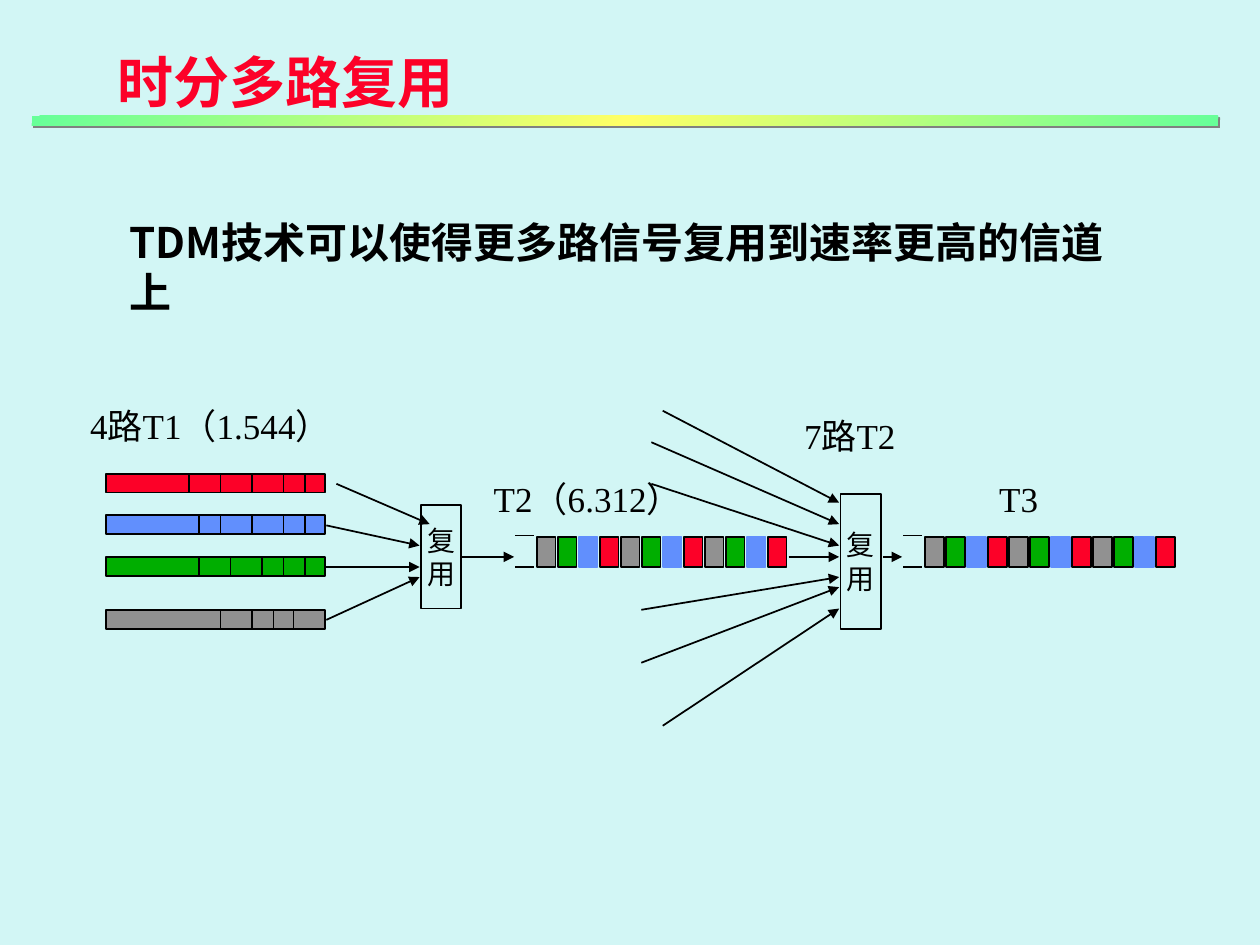
from lxml import etree
from pptx import Presentation
from pptx.dml.color import RGBColor
from pptx.enum.shapes import MSO_CONNECTOR, MSO_SHAPE
from pptx.enum.text import MSO_ANCHOR, MSO_AUTO_SIZE, PP_ALIGN
from pptx.oxml import parse_xml
from pptx.oxml.ns import nsdecls, qn
from pptx.util import Inches, Pt

RECTANGLE = MSO_SHAPE.RECTANGLE
STRAIGHT = MSO_CONNECTOR.STRAIGHT
LEFT, CENTER = PP_ALIGN.LEFT, PP_ALIGN.CENTER
TOP, MIDDLE = MSO_ANCHOR.TOP, MSO_ANCHOR.MIDDLE

SANS, SERIF = "Noto Sans CJK SC", "Times New Roman"
BACKGROUND = RGBColor(0xD2, 0xF6, 0xF5)
BLACK = RGBColor(0, 0, 0)
RED = RGBColor(0xFC, 0x01, 0x28)
BLUE = RGBColor(0x61, 0x8F, 0xFD)
GREEN = RGBColor(0x00, 0xAE, 0x00)
GRAY = RGBColor(0x91, 0x91, 0x91)

TITLE = "时分多路复用"
STATEMENT = "TDM技术可以使得更多路信号复用到速率更高的信道上"

LABELS = [  # text, left, top, width
    ("4路T1（1.544）", 0.67, 3.17, 2),
    ("T2（6.312）", 4.08, 3.75, 1.17),
    ("T3", 7.5, 3.75, 1.17),
    ("7路T2", 6.33, 3.25, 0.83),
]
LABEL_HEIGHT = 0.42

T1_LEFT, T1_WIDTH, T1_HEIGHT = 0.84, 1.74, 0.15
T1_SIGNALS = [  # top, colour, slot borders
    (3.76, RED, (1.5, 1.75, 2, 2.25, 2.42)),
    (4.09, BLUE, (1.58, 1.75, 2, 2.25, 2.42)),
    (4.42, GREEN, (1.58, 1.83, 2.08, 2.25, 2.42)),
    (4.84, GRAY, (1.75, 2, 2.17, 2.33)),
]

MULTIPLEXERS = [(3.34, 4.01, 0.32, 0.82), (6.67, 3.92, 0.32, 1.07)]
MULTIPLEXER_TEXT = ("复", "用")

STREAM_LEFTS = (4.26, 7.34)
STREAM_TOP, SLOT_PITCH = 4.26, 1 / 6
SLOT_WIDTH, SLOT_HEIGHT = 0.15, 0.24
STREAM_COLORS = (GRAY, GREEN, BLUE, RED) * 3

ARROWS = [
    (2.67, 3.84, 3.41, 4.16), (2.59, 4.17, 3.33, 4.33),
    (2.59, 4.5, 3.33, 4.5), (2.59, 4.92, 3.33, 4.58),
    (3.67, 4.42, 4.08, 4.42),
    (5.26, 3.26, 6.66, 3.99), (5.17, 3.51, 6.66, 4.16),
    (5.17, 3.84, 6.66, 4.33), (6.26, 4.42, 6.66, 4.42),
    (5.09, 4.84, 6.66, 4.58), (5.09, 5.26, 6.66, 4.66),
    (5.26, 5.76, 6.66, 4.83),
    (7.01, 4.42, 7.16, 4.42),
]

GRADIENT = f"""<a:gradFill {nsdecls('a')} rotWithShape="1"><a:gsLst>
<a:gs pos="0"><a:srgbClr val="66FF99"/></a:gs>
<a:gs pos="50000"><a:srgbClr val="FFFF66"/></a:gs>
<a:gs pos="100000"><a:srgbClr val="66FF99"/></a:gs>
</a:gsLst><a:lin ang="2700000" scaled="1"/></a:gradFill>"""
SHADOW = f"""<a:outerShdw {nsdecls('a')} dist="17780" dir="2700000" algn="ctr"
rotWithShape="0"><a:srgbClr val="808080"/></a:outerShdw>"""


def add_rectangle(page, left, top, width, height, fill=None, line=BLACK):
    box = page.shapes.add_shape(
        RECTANGLE, Inches(left), Inches(top), Inches(width), Inches(height))
    if fill is None:
        box.fill.background()
    else:
        box.fill.solid()
        box.fill.fore_color.rgb = fill
    if line is None:
        box.line.fill.background()
    else:
        box.line.color.rgb = line
        box.line.width = Pt(1)
    box.shadow.inherit = False
    return box


def add_line(page, x1, y1, x2, y2, arrow=False):
    line = page.shapes.add_connector(
        STRAIGHT, Inches(x1), Inches(y1), Inches(x2), Inches(y2))
    line.line.color.rgb = BLACK
    line.line.width = Pt(1)
    if arrow:
        etree.SubElement(line.line._get_or_add_ln(), qn("a:tailEnd"), type="triangle")
    etree.SubElement(line._element.spPr, qn("a:effectLst"))


def write(box, lines, size, font=SERIF, color=BLACK, bold=False,
          align=CENTER, anchor=MIDDLE, wrap=False):
    frame = box.text_frame
    frame.auto_size = MSO_AUTO_SIZE.NONE
    frame.word_wrap = wrap
    frame.vertical_anchor = anchor
    for index, text in enumerate(lines):
        para = frame.add_paragraph() if index else frame.paragraphs[0]
        para.alignment = align
        span = para.add_run()
        span.text = text
        span.font.size = Pt(size)
        span.font.bold = bold
        span.font.color.rgb = color
        span.font.name = font
        # East Asian characters take their typeface from a separate element.
        etree.SubElement(span._r.get_or_add_rPr(), qn("a:ea"), typeface=SANS)


def add_heading(page):
    bar = add_rectangle(page, 0.25, 0.92, 9.42, 0.08, BACKGROUND, None)
    properties = bar._element.spPr
    properties.replace(properties.find(qn("a:solidFill")), parse_xml(GRADIENT))
    properties.find(qn("a:effectLst")).append(parse_xml(SHADOW))

    title = page.shapes.title
    title.left, title.top = Inches(0.83), Inches(0.33)
    title.width, title.height = Inches(5.89), Inches(0.64)
    write(title, [TITLE], 32, SANS, RED, True, LEFT, TOP, True)

    statement = page.shapes.add_textbox(
        Inches(0.93), Inches(1.67), Inches(8.21), Inches(0.5))
    write(statement, [STATEMENT], 24, SANS, BLACK, True, LEFT, TOP, True)


def add_t1_signals(page):
    for top, color, borders in T1_SIGNALS:
        add_rectangle(page, T1_LEFT, top, T1_WIDTH, T1_HEIGHT, color)
        for x in borders:
            add_line(page, x, top, x, top + T1_HEIGHT)


def add_stream(page, left):
    """Draw twelve interleaved slots with the open end of the channel before them."""
    for index, color in enumerate(STREAM_COLORS):
        add_rectangle(page, left + index * SLOT_PITCH, STREAM_TOP,
                      SLOT_WIDTH, SLOT_HEIGHT, color,
                      BLUE if color == BLUE else BLACK)
    for y in (4.25, 4.5):
        add_line(page, left - 0.17, y, left - 0.02, y)


def main():
    deck = Presentation()
    deck.slide_width, deck.slide_height = Inches(10), Inches(7.5)
    page = deck.slides.add_slide(deck.slide_layouts[5])
    page.background.fill.solid()
    page.background.fill.fore_color.rgb = BACKGROUND

    add_heading(page)
    add_t1_signals(page)
    for place in MULTIPLEXERS:
        write(add_rectangle(page, *place), MULTIPLEXER_TEXT, 16)
    for left in STREAM_LEFTS:
        add_stream(page, left)
    for ends in ARROWS:
        add_line(page, *ends, arrow=True)
    for text, left, top, width in LABELS:
        label = page.shapes.add_textbox(
            Inches(left), Inches(top), Inches(width), Inches(LABEL_HEIGHT))
        write(label, [text], 20)

    deck.save("out.pptx")


if __name__ == "__main__":
    main()
